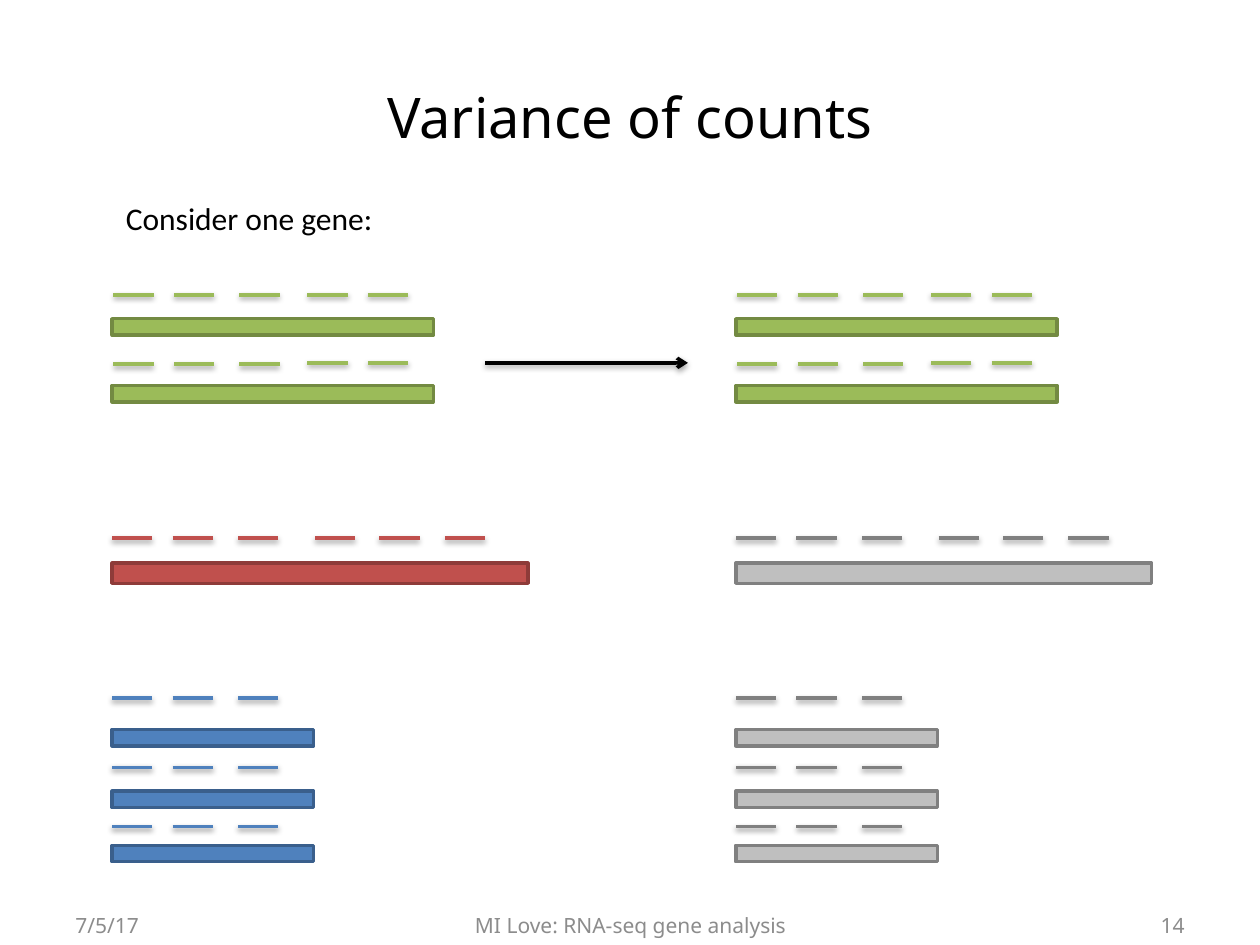
from lxml import etree
from pptx import Presentation
from pptx import util as u
from pptx.dml.color import RGBColor
from pptx.enum import shapes, text
from pptx.oxml.ns import qn

BLACK = RGBColor(0x00, 0x00, 0x00)
FOOTER = RGBColor(0x8C, 0x8C, 0x8C)
# Each scheme is (fill, outline, read)
GREEN = (RGBColor(0x9B, 0xBB, 0x59), RGBColor(0x73, 0x8A, 0x42), RGBColor(0x9B, 0xBB, 0x59))
RED = (RGBColor(0xC0, 0x50, 0x4D), RGBColor(0x8E, 0x3B, 0x39), RGBColor(0xC0, 0x50, 0x4D))
BLUE = (RGBColor(0x4F, 0x81, 0xBD), RGBColor(0x3A, 0x5F, 0x8C), RGBColor(0x4F, 0x81, 0xBD))
GREY = (RGBColor(0xBF, 0xBF, 0xBF), RGBColor(0x80, 0x80, 0x80), RGBColor(0x80, 0x80, 0x80))

LEFT_X, RIGHT_X = 0.89, 5.84
READ_W = 0.32

# Transcripts of each isoform: isoform, top, width, height
BARS = [
    ("two copies", 2.53, 2.55, 0.13),
    ("long", 4.47, 3.3, 0.16),
    ("short", 6.71, 1.6, 0.13),
    ("short", 6.28, 1.6, 0.13),
    ("short", 5.79, 1.6, 0.13),
    ("two copies", 3.06, 2.55, 0.13),
]
# Rows of reads: isoform, y, offsets from the column's left edge
START = (0, 0.48, 1.0)
READS = [
    ("short", 5.54, START),
    ("short", 6.09, START),
    ("short", 6.56, START),
    ("long", 4.27, START + (1.61, 2.12, 2.64)),
    ("two copies", 2.89, (0.01, 0.49, 1.01)),
    ("two copies", 2.34, (0.01, 0.49, 1.01, 1.55, 2.03)),
    ("two copies", 2.88, (1.55, 2.03)),
]
KNOWN = {"two copies": GREEN, "long": RED, "short": BLUE}
UNKNOWN = {"two copies": GREEN, "long": GREY, "short": GREY}


def add_run(p, words, size, font, color):
    r = p.add_run()
    r.text = words
    r.font.size = u.Pt(size)
    r.font.name = font
    r.font.color.rgb = color


def add_text(s, box, words, size, font, color, align=text.PP_ALIGN.LEFT,
             anchor=text.MSO_ANCHOR.MIDDLE, wrap=True):
    sp = s.shapes.add_textbox(*map(u.Inches, box))
    tf = sp.text_frame
    tf.word_wrap = wrap
    tf.vertical_anchor = anchor
    p = tf.paragraphs[0]
    p.alignment = align
    add_run(p, words, size, font, color)


def add_line(parent, x1, x2, y, color):
    """Horizontal line with a soft shadow below it."""
    sp = parent.add_connector(shapes.MSO_CONNECTOR.STRAIGHT, u.Inches(x1),
                              u.Inches(y), u.Inches(x2), u.Inches(y))
    sp.line.color.rgb = color
    sp.line.width = u.Pt(2)
    effects = etree.SubElement(sp._element.spPr, qn("a:effectLst"))
    shadow = etree.SubElement(effects, qn("a:outerShdw"), blurRad="40000",
                              dist="20000", dir="5400000", rotWithShape="0")
    black = etree.SubElement(shadow, qn("a:srgbClr"), val="000000")
    etree.SubElement(black, qn("a:alpha"), val="38000")
    return sp


def add_arrow(parent, x1, x2, y, color):
    sp = add_line(parent, x1, x2, y, color)
    etree.SubElement(sp.line._get_or_add_ln(), qn("a:tailEnd"), type="arrow")


def add_bars(parent, x, schemes):
    for isoform, y, w, h in BARS:
        fill, outline, _ = schemes[isoform]
        sp = parent.add_shape(shapes.MSO_SHAPE.RECTANGLE,
                              *map(u.Inches, (x, y, w, h)))
        sp.shadow.inherit = False
        sp.fill.solid()
        sp.fill.fore_color.rgb = fill
        sp.line.color.rgb = outline
        sp.line.width = u.Pt(2)


def add_reads(parent, x, schemes):
    for isoform, y, offsets in READS:
        for dx in offsets:
            add_line(parent, x + dx, x + dx + READ_W, y, schemes[isoform][2])


def add_title(s, words):
    sp = s.shapes.title
    sp.left, sp.top, sp.width, sp.height = map(u.Inches, (0.5, 0.3, 9, 1.25))
    tf = sp.text_frame
    tf.vertical_anchor = text.MSO_ANCHOR.MIDDLE
    p = tf.paragraphs[0]
    p.alignment = text.PP_ALIGN.CENTER
    add_run(p, words, 32, "Noto Sans", BLACK)


def main():
    prs = Presentation()
    prs.slide_width, prs.slide_height = u.Inches(10), u.Inches(7.5)
    s = prs.slides.add_slide(prs.slide_layouts[5])
    add_title(s, "Variance of counts")

    # Left: reads coloured by the isoform they came from
    add_bars(s.shapes, LEFT_X, KNOWN)
    add_reads(s.shapes.add_group_shape().shapes, LEFT_X, KNOWN)

    # Right: only one isoform stays coloured
    right = s.shapes.add_group_shape().shapes
    add_bars(right, RIGHT_X, UNKNOWN)
    add_reads(right, RIGHT_X, UNKNOWN)

    # Lead-in and arrow
    add_text(s, (0.9, 1.53, 2.18, 0.4), "Consider one gene:", 18, "Calibri",
             BLACK, anchor=text.MSO_ANCHOR.TOP, wrap=False)
    add_arrow(s.shapes, 3.85, 5.46, 2.88, BLACK)

    # Footer
    for x, w, words, align in [
        (0.5, 2.33, "7/5/17", text.PP_ALIGN.LEFT),
        (3.42, 3.17, "MI Love: RNA-seq gene analysis", text.PP_ALIGN.CENTER),
        (7.17, 2.33, "14", text.PP_ALIGN.RIGHT),
    ]:
        add_text(s, (x, 7.14, w, 0.4), words, 12, "Noto Sans", FOOTER, align)

    prs.save("out.pptx")


if __name__ == "__main__":
    main()
